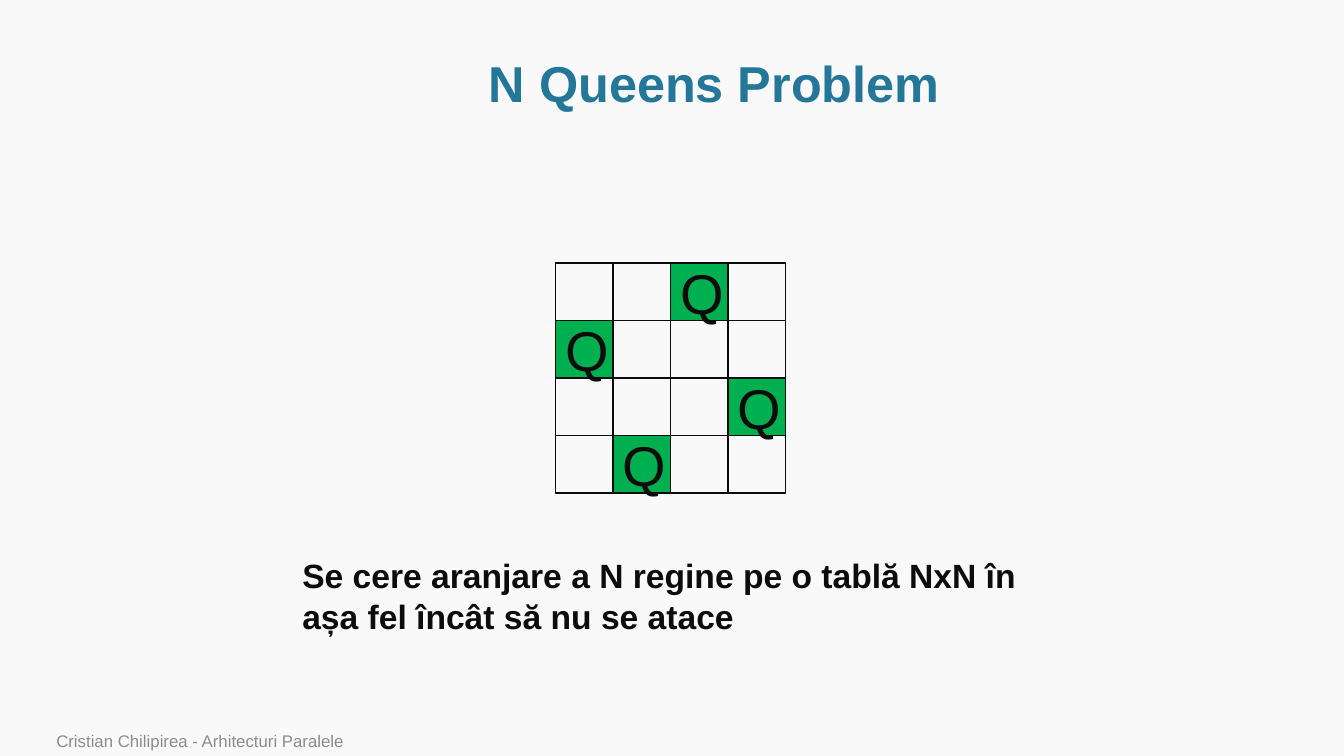
from pptx import Presentation
from pptx.dml.color import RGBColor
from pptx.enum.shapes import MSO_SHAPE
from pptx.enum.text import MSO_ANCHOR, PP_ALIGN
from pptx.util import Inches, Pt

RECTANGLE = MSO_SHAPE.RECTANGLE
TOP, MIDDLE, BOTTOM = MSO_ANCHOR.TOP, MSO_ANCHOR.MIDDLE, MSO_ANCHOR.BOTTOM
LEFT, CENTER = PP_ALIGN.LEFT, PP_ALIGN.CENTER

COLORS = {
    "background": "F9F9F9",
    "title": "247798",
    "ink": "0C0C0C",
    "queen": "00B050",
    "footer": "8C8C8C",
}
FONT = "Arial"
QUEEN_COLUMNS = (2, 0, 3, 1)


def color(name):
    """Return the named colour."""
    return RGBColor.from_string(COLORS[name])


def write(shape, text, size, ink="ink", bold=False, align=LEFT, anchor=TOP, spacing=1.0):
    """Put one formatted paragraph into a shape."""
    frame = shape.text_frame
    frame.word_wrap = True
    frame.vertical_anchor = anchor
    para = frame.paragraphs[0]
    para.alignment = align
    para.line_spacing = spacing
    span = para.add_run()
    span.text = text
    span.font.name = FONT
    span.font.size = Pt(size)
    span.font.bold = bold
    span.font.color.rgb = color(ink)


def add_text(page, box, text, **style):
    """Add a text box at a left, top, width, height box in inches."""
    write(page.shapes.add_textbox(*map(Inches, box)), text, **style)


def add_cell(page, box, has_queen):
    """Add one square of the board, with a queen if asked."""
    cell = page.shapes.add_shape(RECTANGLE, *map(Inches, box))
    cell.shadow.inherit = False
    cell.line.color.rgb = color("ink")
    cell.line.width = Pt(1)
    if has_queen:
        cell.fill.solid()
        cell.fill.fore_color.rgb = color("queen")
        write(cell, "Q", size=40, align=CENTER, anchor=MIDDLE)
    else:
        cell.fill.background()


def add_board(page, box, queen_columns):
    """Divide a box into an N by N board with one queen per row."""
    left, top, width, height = box
    count = len(queen_columns)
    cell_width, cell_height = width / count, height / count
    for row, queen_column in enumerate(queen_columns):
        for column in range(count):
            cell_box = (left + column * cell_width, top + row * cell_height,
                        cell_width, cell_height)
            add_cell(page, cell_box, column == queen_column)


def add_queens_page(deck):
    """Add the page that states the N queens problem."""
    page = deck.slides.add_slide(deck.slide_layouts[6])
    page.background.fill.solid()
    page.background.fill.fore_color.rgb = color("background")
    add_text(page, (1.14, 0.51, 11.89, 0.69), "N Queens Problem", size=36,
             ink="title", bold=True, align=CENTER, anchor=MIDDLE, spacing=0.9)
    add_board(page, (5.51, 2.61, 2.28, 2.28), QUEEN_COLUMNS)
    add_text(page, (0.46, 7.22, 9.82, 0.28),
             "Cristian Chilipirea - Arhitecturi Paralele",
             size=12, ink="footer", anchor=BOTTOM)
    add_text(page, (2.9, 5.46, 7.49, 0.91),
             "Se cere aranjare a N regine pe o tablă NxN în așa fel încât să nu se atace",
             size=24, bold=True)


def main():
    """Build and save the deck."""
    deck = Presentation()
    deck.slide_width, deck.slide_height = Inches(13.33), Inches(7.5)
    add_queens_page(deck)
    deck.save("out.pptx")


if __name__ == "__main__":
    main()
